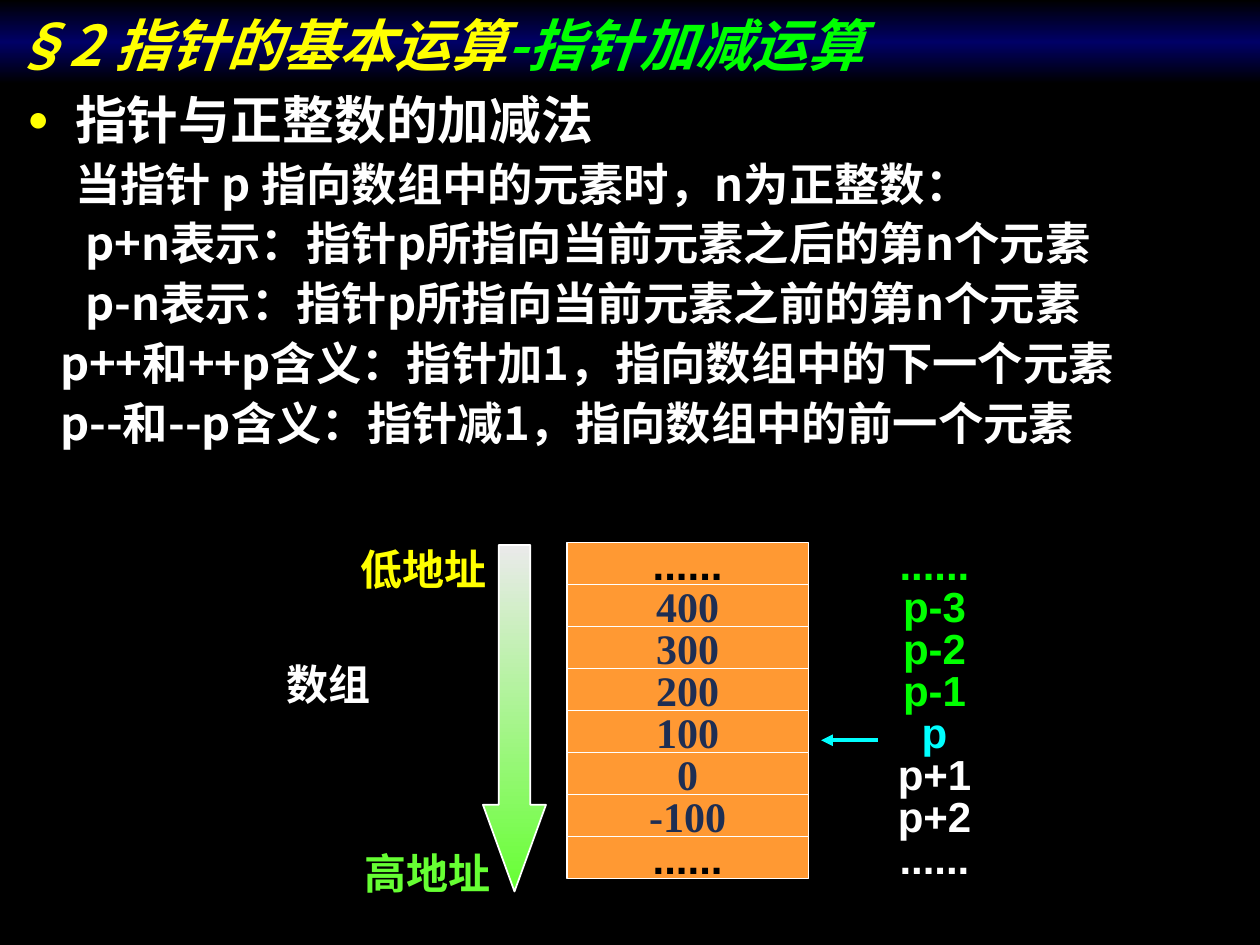
from typing import NamedTuple

from lxml.etree import SubElement
from pptx import Presentation
from pptx.dml.color import RGBColor
from pptx.enum.dml import MSO_LINE
from pptx.enum.shapes import MSO_CONNECTOR, MSO_SHAPE
from pptx.enum.text import MSO_ANCHOR, MSO_AUTO_SIZE, PP_ALIGN
from pptx.oxml.ns import qn
from pptx.util import Emu, Inches, Pt

# Grid of 120 columns by 90 rows over a 10 x 7.5 inch slide
COLS, ROWS = 120, 90
UNIT = Inches(10) / COLS

WHITE, BLACK, YELLOW, GREEN = "FFFFFF", "000000", "FFFF00", "00FF00"
CYAN, LIME, ORANGE, NAVY = "00FFFF", "66FF33", "FF9933", "1E2E53"
CJK, SANS, SERIF = "Noto Sans CJK SC", "Arial", "Times New Roman"


class Box(NamedTuple):
    col: float
    row: float
    cols: float
    rows: float


class Style(NamedTuple):
    size: float
    face: str
    colour: str
    italic: bool = False


class MemoryCell(NamedTuple):
    value: str
    pointer: str
    colour: str


class Label(NamedTuple):
    text: str
    col: float
    row: float
    colour: str


class Line(NamedTuple):
    text: str
    size: float
    indent: float


def grid(n: float) -> Emu:
    return Emu(round(n * UNIT))


def rgb(colour: str) -> RGBColor:
    return RGBColor.from_string(colour)


def place(s, box: Box) -> None:
    for name, n in zip(("left", "top", "width", "height"), box):
        setattr(s, name, grid(n))


def add_run(p, text: str, style: Style) -> None:
    r = p.add_run()
    r.text = text
    font = {"size": Pt(style.size), "name": style.face,
            "bold": True, "italic": style.italic}
    for name, value in font.items():
        setattr(r.font, name, value)
    r.font.color.rgb = rgb(style.colour)
    SubElement(r.font._element, qn("a:ea")).set("typeface", CJK)


def format_frame(tf, anchor, wrap: bool) -> None:
    frame = {"auto_size": MSO_AUTO_SIZE.NONE, "word_wrap": wrap,
             "vertical_anchor": anchor}
    for name, value in frame.items():
        setattr(tf, name, value)


def centre_text(s, text: str, style: Style) -> None:
    format_frame(s.text_frame, MSO_ANCHOR.MIDDLE, False)
    p = s.text_frame.paragraphs[0]
    p.alignment = PP_ALIGN.CENTER
    add_run(p, text, style)


def add_text(shapes, box: Box, text: str, style: Style) -> None:
    centre_text(shapes.add_textbox(*map(grid, box)), text, style)


def add_outlined(shapes, kind, box: Box):
    s = shapes.add_shape(kind, *map(grid, box))
    s.shadow.inherit = False
    s.line.color.rgb = rgb(WHITE)
    s.line.width = Pt(1)
    return s


def fill_downward(s, *colours: str) -> None:
    """Vertical gradient with evenly spaced stops."""
    s.fill.gradient()
    s.fill.gradient_angle = 270
    stops = s.fill._xPr.find(qn("a:gradFill")).find(qn("a:gsLst"))
    for old in list(stops):
        stops.remove(old)
    for i, colour in enumerate(colours):
        stop = SubElement(stops, qn("a:gs"))
        stop.set("pos", str(100000 * i // (len(colours) - 1)))
        SubElement(stop, qn("a:srgbClr")).set("val", colour)


def set_bullet(p, indent: float, shown: bool) -> None:
    pPr = p._p.get_or_add_pPr()
    hanging = Inches(indent) if shown else 0
    pPr.set("marL", str(Inches(indent)))
    pPr.set("indent", str(-hanging))
    if not shown:
        SubElement(pPr, qn("a:buNone"))
        return
    colour = SubElement(pPr, qn("a:buClr"))
    SubElement(colour, qn("a:srgbClr")).set("val", YELLOW)
    SubElement(pPr, qn("a:buSzPct")).set("val", "70000")
    SubElement(pPr, qn("a:buFont")).set("typeface", SANS)
    SubElement(pPr, qn("a:buChar")).set("char", "●")


def add_arrow(shapes, start: tuple, end: tuple, colour: str) -> None:
    s = shapes.add_connector(MSO_CONNECTOR.STRAIGHT, *map(grid, start + end))
    s.line.color.rgb = rgb(colour)
    s.line.width = Pt(2.25)
    s.line.dash_style = MSO_LINE.SOLID
    SubElement(s.line._get_or_add_ln(), qn("a:tailEnd")).set("type", "triangle")
    SubElement(s._element.spPr, qn("a:effectLst"))


BODY = [
    Line("指针与正整数的加减法", 29.6, 0.38),
    Line("当指针 p 指向数组中的元素时，n为正整数：", 25.9, 0.38),
    Line("p+n表示：指针p所指向当前元素之后的第n个元素", 25.9, 0.46),
    Line("p-n表示：指针p所指向当前元素之前的第n个元素", 25.9, 0.46),
    Line("p++和++p含义：指针加1，指向数组中的下一个元素", 25.9, 0.26),
    Line("p--和--p含义：指针减1，指向数组中的前一个元素", 25.9, 0.26),
]
DOTS = "......"
MEMORY = [
    MemoryCell(DOTS, DOTS, GREEN),
    MemoryCell("400", "p-3", GREEN),
    MemoryCell("300", "p-2", GREEN),
    MemoryCell("200", "p-1", GREEN),
    MemoryCell("100", "p", CYAN),
    MemoryCell("0", "p+1", WHITE),
    MemoryCell("-100", "p+2", WHITE),
    MemoryCell(DOTS, DOTS, WHITE),
]
LABELS = [
    Label("数组", 25, 61.6, WHITE),
    Label("低地址", 34, 50.7, YELLOW),
    Label("高地址", 34.4, 79.6, LIME),
]
MEMORY_TOP, CELL_ROWS = 51.67, 4


def main() -> None:
    prs = Presentation()
    prs.slide_width, prs.slide_height = grid(COLS), grid(ROWS)
    slide = prs.slides.add_slide(prs.slide_layouts[1])
    slide.background.fill.solid()
    slide.background.fill.fore_color.rgb = rgb(BLACK)
    shapes = slide.shapes
    title, body = slide.placeholders

    # Title band
    place(title, Box(0, 0, COLS, 8))
    fill_downward(title, BLACK, "000066", BLACK)
    format_frame(title.text_frame, MSO_ANCHOR.BOTTOM, True)
    p = title.text_frame.paragraphs[0]
    p.alignment = PP_ALIGN.LEFT
    add_run(p, "§2 指针的基本运算", Style(32, CJK, YELLOW, True))
    add_run(p, "-指针加减运算", Style(32, CJK, GREEN, True))

    # Explanation
    place(body, Box(1.4, 7.2, 117, 41.4))
    tf = body.text_frame
    format_frame(tf, MSO_ANCHOR.TOP, True)
    for i, line in enumerate(BODY):
        p = tf.add_paragraph() if i else tf.paragraphs[0]
        p.alignment = PP_ALIGN.JUSTIFY
        p.line_spacing, p.space_before = 1.1, Pt(0)
        set_bullet(p, line.indent, shown=i == 0)
        add_run(p, line.text, Style(line.size, CJK, WHITE))

    # Memory cells with the pointer to each
    for i, cell in enumerate(MEMORY):
        row = MEMORY_TOP + i * CELL_ROWS
        s = add_outlined(shapes, MSO_SHAPE.RECTANGLE, Box(54, row, 23, CELL_ROWS))
        s.fill.solid()
        s.fill.fore_color.rgb = rgb(ORANGE)
        dots = cell.value == DOTS
        centre_text(s, cell.value, Style(24, SANS, BLACK) if dots else Style(24, SERIF, NAVY))
        add_text(shapes, Box(81, row, 16, CELL_ROWS), cell.pointer, Style(24, SANS, cell.colour))

    # Address direction
    s = add_outlined(shapes, MSO_SHAPE.DOWN_ARROW, Box(46, 51.9, 6, 33))
    s.adjustments[0], s.adjustments[1] = 0.5, 1.375
    fill_downward(s, "EAEAEA", LIME)
    for label in LABELS:
        add_text(shapes, Box(label.col, label.row, 12.6, 7), label.text, Style(24, SANS, label.colour))

    # Current pointer
    add_arrow(shapes, (83.6, 70.5), (78.2, 70.5), CYAN)
    prs.save("out.pptx")


if __name__ == "__main__":
    main()
